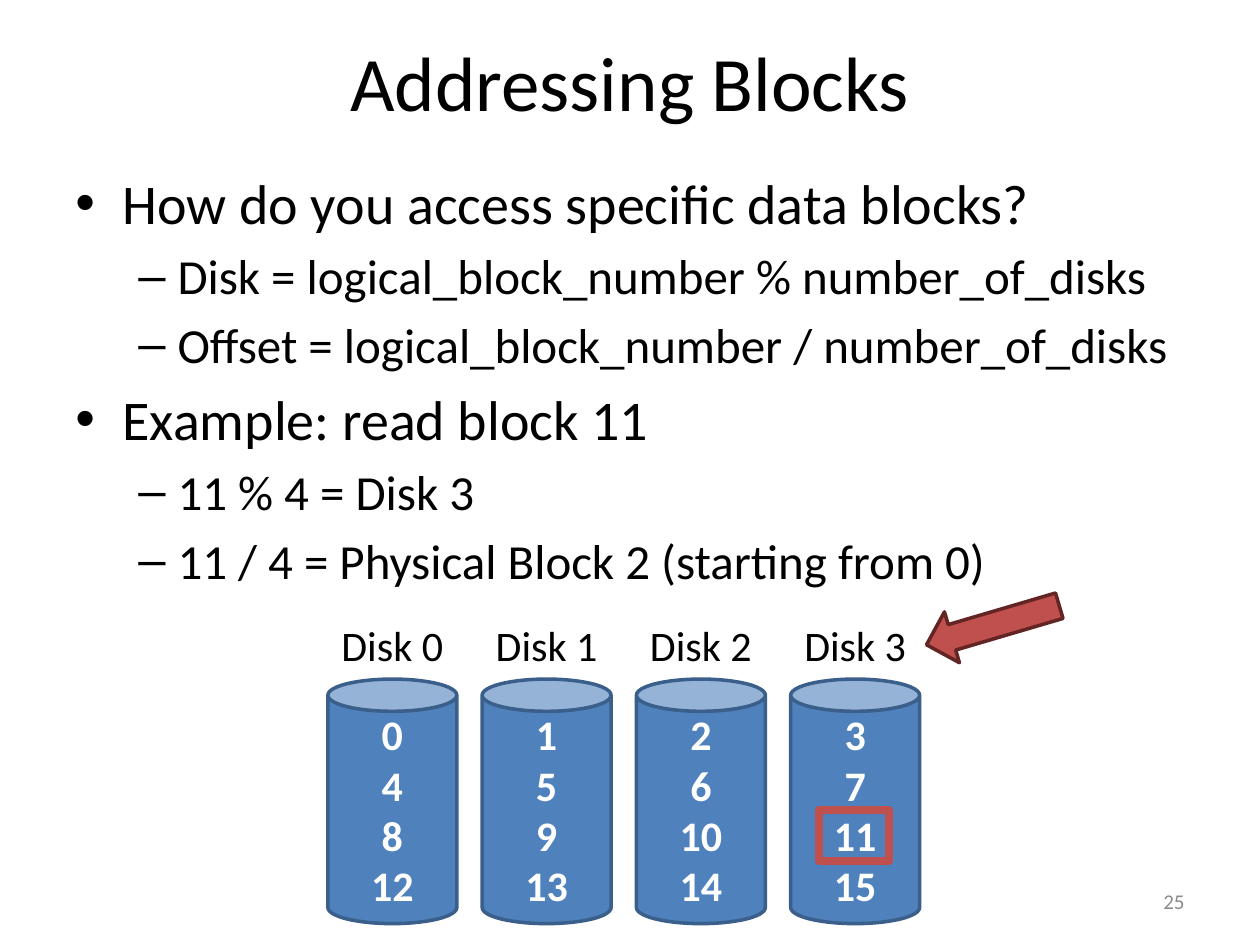
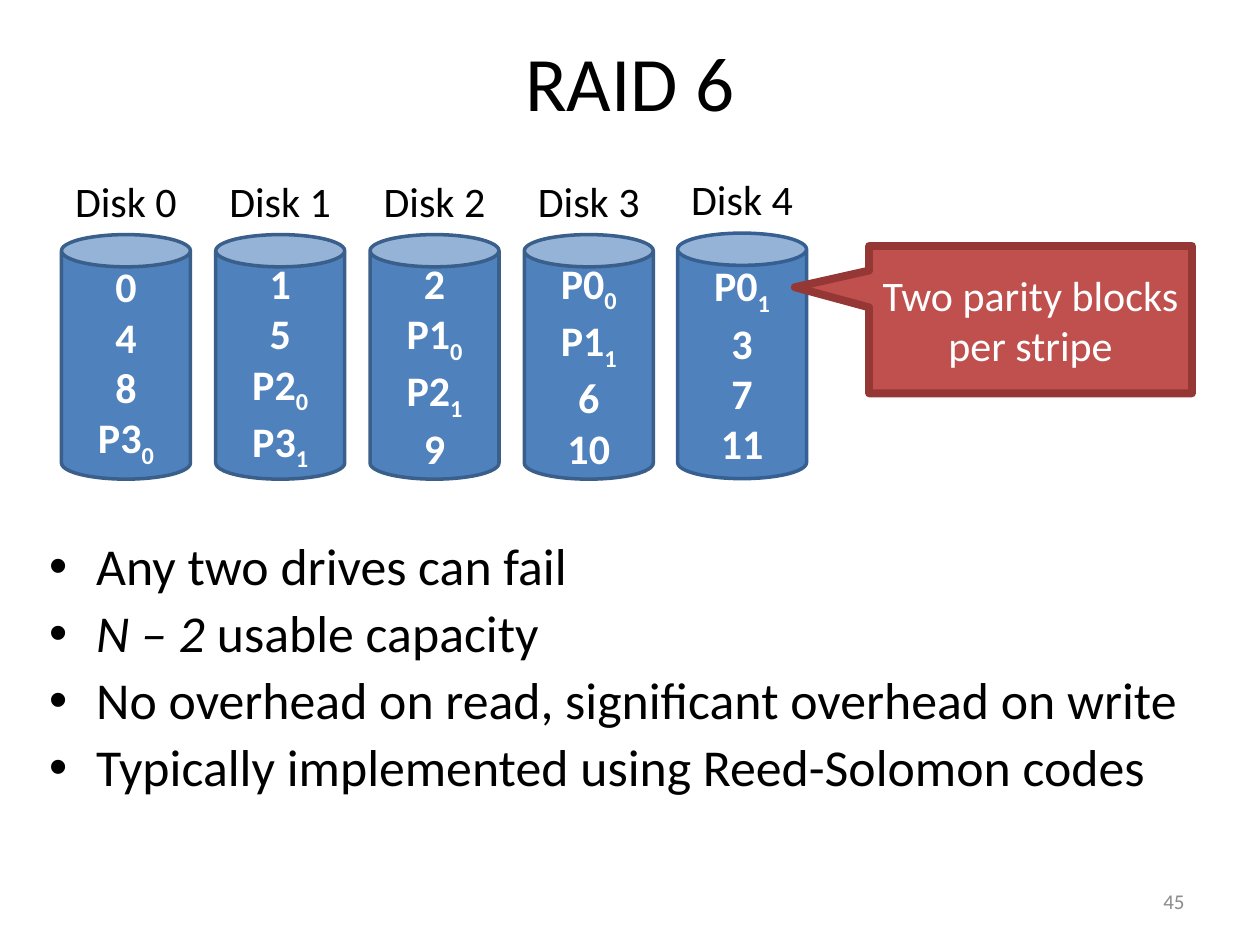
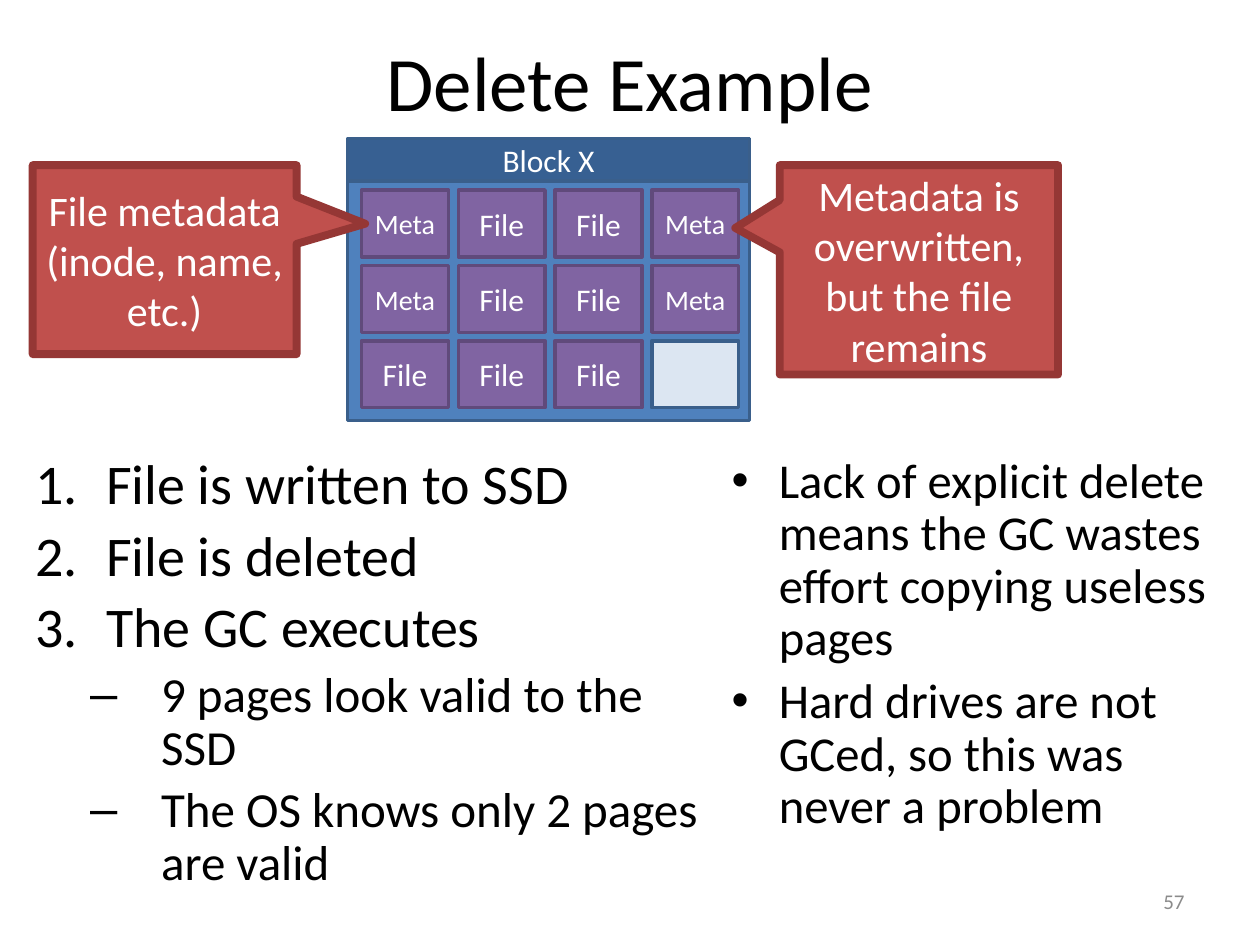
from dataclasses import dataclass
from itertools import product

from lxml.etree import SubElement
from pptx import Presentation
from pptx.dml.color import RGBColor
from pptx.enum.shapes import MSO_SHAPE as Shape
from pptx.enum.text import MSO_ANCHOR as Anchor, PP_ALIGN as Align
from pptx.oxml.ns import qn
from pptx.util import Cm, Pt


@dataclass(frozen=True)
class Theme:
    font: str = "Calibri"
    bullet_font: str = "Arial"
    ink: str = "000000"
    white: str = "FFFFFF"
    footer: str = "8B8B8B"
    blue: str = "4F81BD"
    blue_line: str = "3A5F8B"
    blue_dark: str = "376092"
    blue_pale: str = "DCE6F2"
    red: str = "C0504D"
    red_line: str = "953735"
    red_dark: str = "632523"
    purple: str = "8064A2"
    purple_line: str = "604A7B"
    title_size: float = 44
    body_size: float = 32
    sub_size: float = 28
    summary_size: float = 29.6
    aside_size: float = 27.8
    label_size: float = 24
    page_size: float = 18
    meta_size: float = 16
    footer_size: float = 12
    thin: float = 2
    thick: float = 4.5


@dataclass(frozen=True)
class Box:
    left: float
    top: float
    width: float
    height: float

    def lengths(self):
        return [Cm(value) for value in (self.left, self.top, self.width, self.height)]

    def inner(self, left, top, width, height):
        return Box(self.left + left, self.top + top, width, height)


@dataclass(frozen=True)
class ListLevel:
    mark: str
    margin: float
    hanging: float
    size: float
    space: float = 6.4


THEME = Theme()
TITLE_BOX = Box(1.27, 0.03, 22.86, 3.18)
NUMBER_BOX = Box(18.21, 17.65, 5.92, 1.02)
DISK_WIDTH, DISK_HEIGHT, DISK_PITCH = 2.6, 4.93, 3.11
AUTO_NUMBER = "arabicPeriod"
POINT = ListLevel("•", 0.95, 0.95, THEME.body_size)
SUBPOINT = ListLevel("–", 2.06, 0.79, THEME.sub_size, 5.6)
SUMMARY = ListLevel("•", 0.95, 0.95, THEME.summary_size)
STEP = ListLevel(AUTO_NUMBER, 1.43, 1.43, THEME.body_size)
SUBSTEP = ListLevel("–", 2.54, 1.43, THEME.sub_size, 5.6)
ASIDE = ListLevel("•", 0.95, 0.95, THEME.aside_size, 6)


def add_run(paragraph, text, size, color=THEME.ink, bold=False, italic=False):
    run = paragraph.add_run()
    run.text = text
    run.font.name = THEME.font
    run.font.size = Pt(size)
    run.font.bold = bold
    run.font.italic = italic
    run.font.color.rgb = RGBColor.from_string(color)
    return run


def add_text(slide, box, text, size, color=THEME.ink, align=Align.CENTER,
             anchor=Anchor.MIDDLE):
    frame = slide.shapes.add_textbox(*box.lengths()).text_frame
    frame.word_wrap = True
    frame.vertical_anchor = anchor
    paragraph = frame.paragraphs[0]
    paragraph.alignment = align
    add_run(paragraph, text, size, color)


def add_figure(slide, kind, box, fill, line, weight=THEME.thin, text="",
               size=THEME.label_size):
    shape = slide.shapes.add_shape(kind, *box.lengths())
    shape.shadow.inherit = False
    if fill:
        shape.fill.solid()
        shape.fill.fore_color.rgb = RGBColor.from_string(fill)
    else:
        shape.fill.background()
    shape.line.color.rgb = RGBColor.from_string(line)
    shape.line.width = Pt(weight)
    if text:
        paragraph = shape.text_frame.paragraphs[0]
        paragraph.alignment = Align.CENTER
        add_run(paragraph, text, size, THEME.white)
    return shape


def mark_paragraph(paragraph, level):
    properties = paragraph._p.get_or_add_pPr()
    properties.set("marL", str(Cm(level.margin)))
    properties.set("indent", str(-Cm(level.hanging)))
    color = SubElement(properties, qn("a:buClr"))
    SubElement(color, qn("a:srgbClr"), val=THEME.ink)
    SubElement(properties, qn("a:buFont"), typeface=THEME.bullet_font)
    if level.mark == AUTO_NUMBER:
        SubElement(properties, qn("a:buAutoNum"), type=AUTO_NUMBER)
    else:
        SubElement(properties, qn("a:buChar"), char=level.mark)


def add_list(slide, box, items, spacing=0.9):
    frame = slide.shapes.add_textbox(*box.lengths()).text_frame
    frame.word_wrap = True
    for index, (level, text, *emphasis) in enumerate(items):
        paragraph = frame.add_paragraph() if index else frame.paragraphs[0]
        mark_paragraph(paragraph, level)
        paragraph.line_spacing = spacing
        paragraph.space_before = Pt(level.space if index else 0)
        for lead in emphasis:
            add_run(paragraph, lead, level.size, italic=True)
        add_run(paragraph, text, level.size)


def add_disk(slide, box, name, blocks, line=THEME.blue_line):
    can = add_figure(slide, Shape.CAN, box, THEME.blue, line)
    can.adjustments[0] = 0.25
    frame = can.text_frame
    for index, block in enumerate(blocks):
        paragraph = frame.add_paragraph() if index else frame.paragraphs[0]
        paragraph.alignment = Align.CENTER
        label, _, subscript = block.partition("_")
        add_run(paragraph, label, THEME.label_size, THEME.white, bold=True)
        if subscript:
            run = add_run(paragraph, subscript, THEME.label_size, THEME.white, bold=True)
            run._r.get_or_add_rPr().set("baseline", "-25000")
    add_text(slide, box.inner(-0.1, -1.32, box.width + 0.2, 1.27), name,
             THEME.label_size, anchor=Anchor.TOP)


def add_disk_row(slide, left, top, disks):
    for index, blocks in enumerate(disks):
        box = Box(left + index * DISK_PITCH, top, DISK_WIDTH, DISK_HEIGHT)
        add_disk(slide, box, f"Disk {index}", blocks.split())


def add_callout(slide, box, text, tip):
    callout = add_figure(slide, Shape.RECTANGULAR_CALLOUT, box, THEME.red,
                         THEME.red_line, THEME.thick, text)
    callout.adjustments[0], callout.adjustments[1] = tip


def add_block(slide, box, name, rows):
    add_figure(slide, Shape.RECTANGLE, box, THEME.blue, THEME.blue_line)
    add_figure(slide, Shape.RECTANGLE, box.inner(0, 0, box.width, 0.86),
               THEME.blue_dark, THEME.blue_line, text=name, size=THEME.page_size)
    for row, column in product(range(3), range(4)):
        cell = box.inner(0.28 + column * 1.95, 1.04 + row * 1.52, 1.75, 1.35)
        page = rows[row][column]
        if page:
            size = THEME.meta_size if page == "Meta" else THEME.page_size
            add_figure(slide, Shape.RECTANGLE, cell, THEME.purple,
                       THEME.purple_line, text=page, size=size)
        else:
            add_figure(slide, Shape.RECTANGLE, cell, THEME.blue_pale, THEME.blue_line)


def add_base_slide(presentation, title, number):
    slide = presentation.slides.add_slide(presentation.slide_layouts[6])
    add_text(slide, TITLE_BOX, title, THEME.title_size)
    add_text(slide, NUMBER_BOX, str(number), THEME.footer_size, THEME.footer, Align.RIGHT)
    return slide


def build_addressing(presentation):
    slide = add_base_slide(presentation, "Addressing Blocks", 25)
    add_list(slide, Box(1.27, 3.28, 22.86, 14.33), [
        (POINT, "How do you access specific data blocks?"),
        (SUBPOINT, "Disk = logical_block_number % number_of_disks"),
        (SUBPOINT, "Offset = logical_block_number / number_of_disks"),
        (POINT, "Example: read block 11"),
        (SUBPOINT, "11 % 4 = Disk 3"),
        (SUBPOINT, "11 / 4 = Physical Block 2 (starting from 0)"),
    ], spacing=1.0)
    add_disk_row(slide, 6.61, 13.69,
                 ["0 4 8 12", "1 5 9 13", "2 6 10 14", "3 7 11 15"])
    add_figure(slide, Shape.RECTANGLE, Box(16.51, 16.33, 1.42, 1.02), None,
               THEME.red, THEME.thick)
    arrow = add_figure(slide, Shape.RIGHT_ARROW, Box(18.62, 12.07, 2.79, 1.07),
                       THEME.red, THEME.red_dark)
    arrow.rotation = 163.6


def build_raid(presentation):
    slide = add_base_slide(presentation, "RAID 6", 45)
    add_list(slide, Box(0.74, 10.77, 24.26, 6.93), [
        (SUMMARY, "Any two drives can fail"),
        (SUMMARY, " usable capacity", "N – 2"),
        (SUMMARY, "No overhead on read, significant overhead on write"),
        (SUMMARY, "Typically implemented using Reed-Solomon codes"),
    ])
    add_disk_row(slide, 1.24, 4.73,
                 ["0 4 8 P3_0", "1 5 P2_0 P3_1", "2 P1_0 P2_1 9", "P0_0 P1_1 6 10"])
    add_disk(slide, Box(13.66, 4.7, DISK_WIDTH, 4.95), "Disk 4",
             ["P0_1", "3", "7", "11"], THEME.blue_dark)
    add_callout(slide, Box(17.52, 4.96, 6.51, 2.97), "Two parity blocks per stripe",
                (-0.73, -0.22))


def build_delete(presentation):
    slide = add_base_slide(presentation, "Delete Example", 57)
    add_list(slide, Box(0.46, 9.07, 14.48, 9.17), [
        (STEP, "File is written to SSD"),
        (STEP, "File is deleted"),
        (STEP, "The GC executes"),
        (SUBSTEP, "9 pages look valid to the SSD"),
        (SUBSTEP, "The OS knows only 2 pages are valid"),
    ])
    add_block(slide, Box(7.01, 2.79, 8.1, 5.69), "Block X", [
        ["Meta", "File", "File", "Meta"],
        ["Meta", "File", "File", "Meta"],
        ["File", "File", "File", ""],
    ])
    add_callout(slide, Box(0.66, 3.33, 5.32, 3.81), "File metadata (inode, name, etc.)",
                (0.76, -0.19))
    add_callout(slide, Box(15.72, 3.33, 5.61, 4.22),
                "Metadata is overwritten, but the file remains", (-0.66, -0.2))
    add_list(slide, Box(14.5, 9.07, 10.46, 9.17), [
        (ASIDE, "Lack of explicit delete means the GC wastes effort copying useless pages"),
        (ASIDE, "Hard drives are not GCed, so this was never a problem"),
    ])


def main():
    presentation = Presentation()
    presentation.slide_width = Cm(25.4)
    presentation.slide_height = Cm(19.05)
    build_addressing(presentation)
    build_raid(presentation)
    build_delete(presentation)
    presentation.save("out.pptx")


if __name__ == "__main__":
    main()
